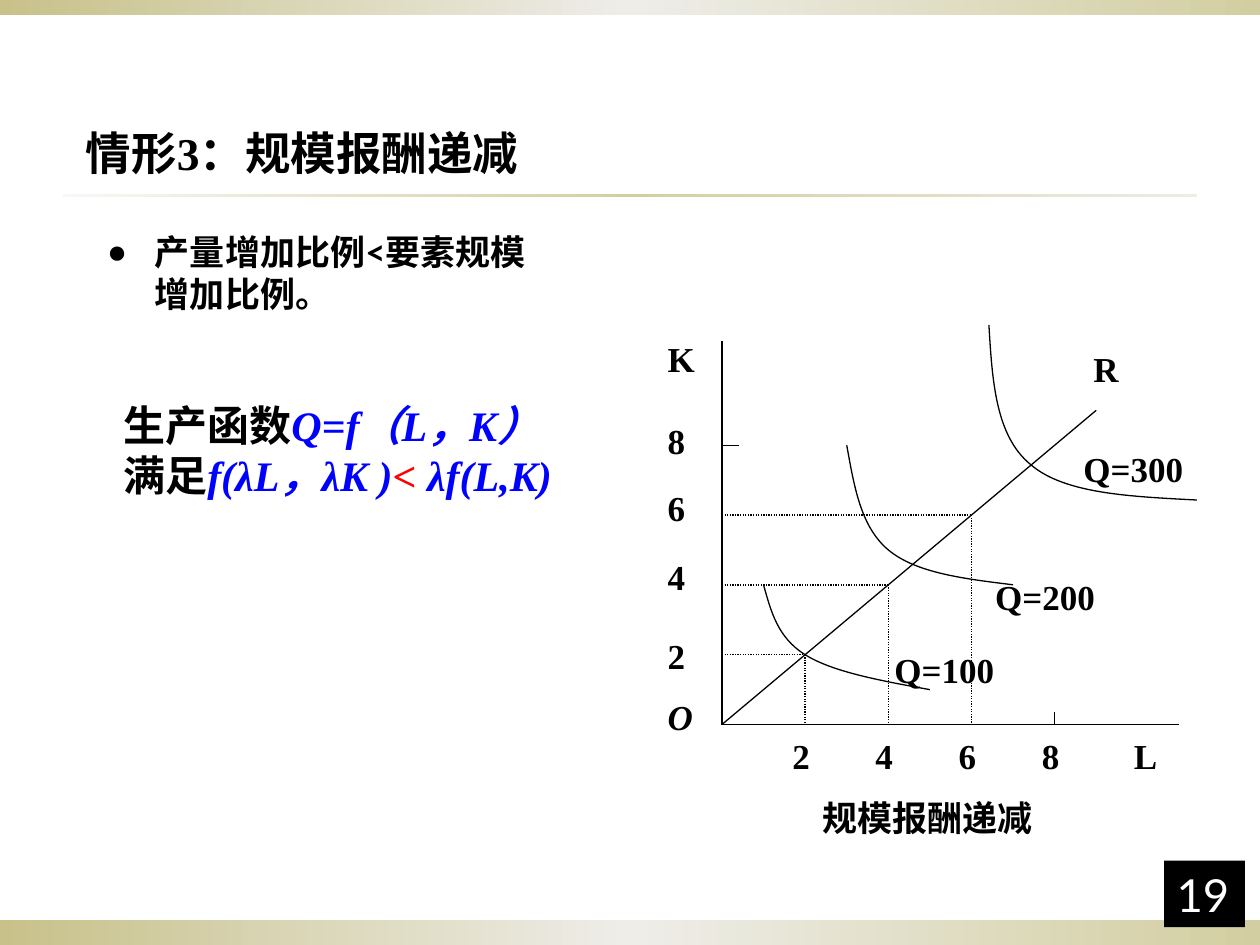
from copy import deepcopy
from lxml.etree import SubElement
from pptx import Presentation
from pptx.dml.color import RGBColor
from pptx.enum.dml import MSO_LINE_DASH_STYLE as Dash
from pptx.enum.shapes import MSO_CONNECTOR as Connector, MSO_SHAPE as Shape
from pptx.enum.text import MSO_ANCHOR as Anchor, MSO_AUTO_SIZE as AutoSize, PP_ALIGN as Align
from pptx.oxml.ns import qn
from pptx.util import Inches, Pt

SERIF = "Times New Roman"
BLACK, WHITE, BLUE, RED = "000000", "FFFFFF", "0000FF", "FF0000"
BAND = ("C8C18A", "EEEDE8", "D3CEA1")
RULE = ("F8F7F5", "D3CEA1", "EDECE5")
ORIGIN_X, ORIGIN_Y = 5.73, 5.75
UNIT_X, UNIT_Y = 0.33, 0.277
TICKS = (2, 4, 6, 8)

ISOQUANTS = (
    ((1, 4), (1.18, 3.25), (1.33, 2.5), (2, 2), (2.67, 1.5), (3.85, 1.25), (5, 1)),
    ((3, 8), (3.18, 6.83), (3.33, 5.67), (4, 5), (4.67, 4.33), (5.85, 4.17), (7, 4)),
    ((6.42, 11.45), (6.5, 9.85), (6.58, 8.27), (7.42, 7.45),
     (8.24, 6.6), (9.85, 6.53), (11.42, 6.43)),
)
LABELS = (
    ("L", 8.9, 5.78, 0.39), ("K", 5.2, 2.63, 0.46), ("R", 8.58, 2.71, 0.48),
    ("8", 5.2, 3.28, 0.39), ("6", 5.2, 3.81, 0.39),
    ("4", 5.2, 4.36, 0.39), ("2", 5.2, 4.99, 0.39),
    ("Q=300", 8.5, 3.5, 1.26), ("Q=200", 7.8, 4.52, 1.16), ("Q=100", 7, 5.1, 1.19),
)
FORMULA = (
    ("生产函数", BLACK, False), ("Q=f（L，K）", BLUE, True), ("满足", BLACK, False),
    ("f(λL，λK )", BLUE, True), ("< ", RED, True), ("λf(L,K)", BLUE, True),
)


def rgb(value):
    return RGBColor.from_string(value)


def plot_point(column, row):
    return Inches(ORIGIN_X + column * UNIT_X), Inches(ORIGIN_Y - row * UNIT_Y)


def set_font(font, size, name=SERIF, color=BLACK, bold=True, italic=False):
    font.size, font.name, font.bold, font.italic = Pt(size), name, bold, italic
    font.color.rgb = rgb(color)


def place(shape, left, top, width, height):
    shape.left, shape.top = Inches(left), Inches(top)
    shape.width, shape.height = Inches(width), Inches(height)


def fill_placeholder(shape, box, text, size, name):
    place(shape, *box)
    frame = shape.text_frame
    frame.text = text
    frame.auto_size = AutoSize.NONE
    paragraph = frame.paragraphs[0]
    paragraph.alignment = Align.LEFT
    paragraph.space_before = Pt(0)
    set_font(paragraph.runs[0].font, size, name)
    return paragraph


def add_bullet(paragraph, indent):
    properties = paragraph._p.get_or_add_pPr()
    properties.set("marL", str(Inches(indent)))
    properties.set("indent", str(-Inches(indent)))
    SubElement(properties, qn("a:buSzPct")).set("val", "95000")
    SubElement(properties, qn("a:buChar")).set("char", "●")


def add_rectangle(slide, left, top, width, height):
    shape = slide.shapes.add_shape(
        Shape.RECTANGLE, Inches(left), Inches(top), Inches(width), Inches(height))
    shape.shadow.inherit = False
    shape.line.fill.background()
    return shape


def add_gradient_bar(slide, box, colors):
    bar = add_rectangle(slide, *box)
    bar.fill.gradient()
    bar.fill.gradient_angle = 0
    first = bar.fill.gradient_stops[0]._gs
    first.addnext(deepcopy(first))
    for stop, color, position in zip(bar.fill.gradient_stops, colors, (0, 0.5, 1)):
        stop.color.rgb = rgb(color)
        stop.position = position
    slide.shapes.title.element.addprevious(bar.element)


def add_label(slide, text, left, top, width, height=0.45, name=SERIF, italic=False):
    box = slide.shapes.add_textbox(Inches(left), Inches(top), Inches(width), Inches(height))
    box.text_frame.word_wrap = True
    box.text_frame.text = text
    paragraph = box.text_frame.paragraphs[0]
    set_font(paragraph.runs[0].font, 20, name, italic=italic)
    return paragraph


def add_line(slide, start, end, dotted=False):
    line = slide.shapes.add_connector(
        Connector.STRAIGHT, *plot_point(*start), *plot_point(*end))
    line.line.color.rgb = rgb(BLACK)
    line.line.width = Pt(0.75)
    if dotted:
        line.line.dash_style = Dash.ROUND_DOT
    SubElement(line.element.spPr, qn("a:effectLst"))


def add_curve(slide, points):
    start, *rest = [plot_point(*point) for point in points]
    builder = slide.shapes.build_freeform(*start)
    builder.add_line_segments(rest, close=False)
    curve = builder.convert_to_shape()
    segments = list(curve.element.iter(qn("a:lnTo")))
    outline = segments[0].getparent()
    for index, segment in enumerate(segments):
        if index % 3 == 0:
            bezier = SubElement(outline, qn("a:cubicBezTo"))
        bezier.append(segment[0])
        outline.remove(segment)
    curve.shadow.inherit = False
    curve.fill.background()
    curve.line.color.rgb = rgb(BLACK)
    curve.line.width = Pt(0.75)


def add_formula(slide):
    box = slide.shapes.add_textbox(Inches(0.88), Inches(3.12), Inches(3.79), Inches(0.91))
    box.text_frame.word_wrap = True
    box.text_frame.auto_size = AutoSize.SHAPE_TO_FIT_TEXT
    paragraph = box.text_frame.paragraphs[0]
    for text, color, italic in FORMULA:
        run = paragraph.add_run()
        run.text = text
        set_font(run.font, 24, color=color, italic=italic)


def add_plot(slide):
    add_line(slide, (0, 0), (11, 0))
    for points in ISOQUANTS:
        add_curve(slide, points)
    add_line(slide, (0, 0), (0, 11))
    add_line(slide, (0, 0), (9, 9))
    for tick in TICKS[:-1]:
        add_line(slide, (0, tick), (tick, tick), dotted=True)
        add_line(slide, (tick, tick), (tick, 0), dotted=True)
    add_line(slide, (0.42, 8), (0, 8))
    add_line(slide, (8, 0.36), (8, 0))
    for label in LABELS:
        add_label(slide, *label)
    for tick in TICKS:
        add_label(slide, str(tick), ORIGIN_X + tick * UNIT_X - 0.2, 5.78, 0.34)
    add_label(slide, "O", 5.2, 5.47, 0.47, italic=True)
    caption = add_label(slide, "规模报酬递减", 6.18, 6.27, 2.37, 0.63, "Arial")
    caption.alignment = Align.CENTER


def add_page_number(slide):
    shape = add_rectangle(slide, 9.24, 6.83, 0.64, 0.53)
    shape.fill.solid()
    shape.fill.fore_color.rgb = rgb(BLACK)
    frame = shape.text_frame
    frame.text = "19"
    frame.vertical_anchor = Anchor.BOTTOM
    frame.paragraphs[0].alignment = Align.LEFT
    set_font(frame.paragraphs[0].runs[0].font, 26, "Lato", WHITE, bold=False)


def main():
    presentation = Presentation()
    presentation.slide_width, presentation.slide_height = Inches(10), Inches(7.5)
    slide = presentation.slides.add_slide(presentation.slide_layouts[1])
    add_gradient_bar(slide, (0, 7.3, 10, 0.2), BAND)
    add_gradient_bar(slide, (0, 0, 10, 0.12), BAND)
    add_gradient_bar(slide, (0.5, 1.54, 9, 0.02), RULE)
    title, body = slide.placeholders
    fill_placeholder(title, (0.58, 0.92, 3.71, 0.58), "情形3：规模报酬递减", 26, SERIF)
    title.text_frame.vertical_anchor = Anchor.MIDDLE
    paragraph = fill_placeholder(
        body, (0.75, 1.78, 3.69, 0.98), "产量增加比例<要素规模增加比例。", 20, "Lato")
    add_bullet(paragraph, 0.38)
    add_plot(slide)
    add_page_number(slide)
    add_formula(slide)
    presentation.save("out.pptx")


if __name__ == "__main__":
    main()
